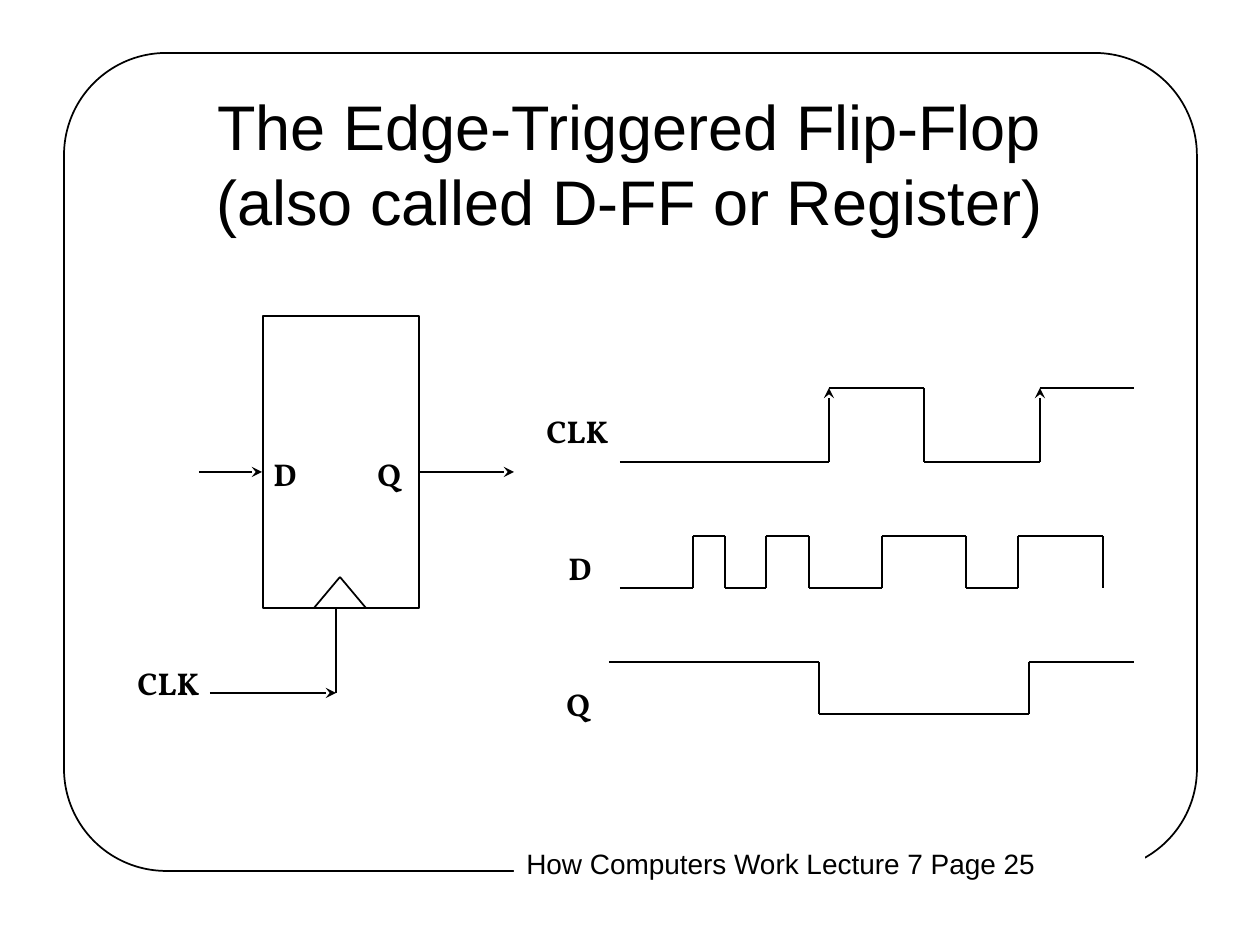
"""Build the edge-triggered flip-flop slide with its symbol and timing diagram."""
from lxml import etree
from pptx import Presentation
from pptx import util as u
from pptx.dml.color import RGBColor
from pptx.enum import shapes, text
from pptx.oxml.ns import qn

PX = 914400 // 126
COLORS = {"ink": "000000", "paper": "FFFFFF"}
TITLE = ["The Edge-Triggered Flip-Flop", "(also called D-FF or Register)"]
TITLE_BOX = (94, 84, 1071, 158)
FOOTER = "How Computers Work Lecture 7 Page 25"
FOOTER_BOX = (514, 840, 631, 47)
FRAME_BOX = (64, 53, 1133, 818)
REGISTER_BOX = (263, 316, 156, 292)

SYMBOL_LABELS = [("D", 261, 449, 49), ("Q", 365, 449, 50), ("CLK", 125, 658, 91)]
SYMBOL_WIRES = [
    ((314, 608), (340, 577), False),
    ((340, 577), (366, 608), False),
    ((336, 608), (336, 693), False),
    ((210, 693), (336, 693), True),
    ((199, 472), (262, 472), True),
    ((419, 472), (514, 472), True),
]
WAVES = [
    {"label": ("CLK", 534, 406, 91), "high": 388, "low": 462, "starts_high": False,
     "start": 620, "edges": [829, 924, 1040], "end": 1134, "mark_rising": True},
    {"label": ("D", 556, 543, 49), "high": 536, "low": 588, "starts_high": False,
     "start": 620, "edges": [693, 725, 766, 809, 882, 966, 1018, 1103], "end": 1103,
     "mark_rising": False},
    {"label": ("Q", 554, 679, 50), "high": 662, "low": 714, "starts_high": True,
     "start": 609, "edges": [819, 1029], "end": 1134, "mark_rising": False},
]


def color(name):
    return RGBColor.from_string(COLORS[name])


def emu(box):
    return [value * PX for value in box]


def write(paragraph, words, size, font, bold=False):
    run = paragraph.add_run()
    run.text = words
    run.font.size = u.Pt(size)
    run.font.name = font
    run.font.bold = bold
    run.font.color.rgb = color("ink")


def add_box(parent, preset, box, filled, outlined):
    panel = parent.add_shape(preset, *emu(box))
    panel.shadow.inherit = False
    if filled:
        panel.fill.solid()
        panel.fill.fore_color.rgb = color("paper")
    else:
        panel.fill.background()
    if outlined:
        panel.line.color.rgb = color("ink")
        panel.line.width = u.Pt(1)
    else:
        panel.line.fill.background()
    return panel


def add_label(parent, words, left, top, width):
    label = parent.add_textbox(*emu((left, top, width, 50)))
    label.text_frame.word_wrap = False
    write(label.text_frame.paragraphs[0], words, 18, "Vollkorn", True)


def add_wire(parent, start, end, arrow=False):
    wire = parent.add_connector(shapes.MSO_CONNECTOR.STRAIGHT, *emu(start + end))
    wire.line.color.rgb = color("ink")
    wire.line.width = u.Pt(1)
    if arrow:
        etree.SubElement(wire.line._get_or_add_ln(), qn("a:tailEnd"), type="stealth")
    etree.SubElement(wire._element.spPr, qn("a:effectLst"))


def add_wave(parent, wave):
    add_label(parent, *wave["label"])
    is_high, x = wave["starts_high"], wave["start"]
    for edge in wave["edges"]:
        before, after = (wave["high"], wave["low"]) if is_high else (wave["low"], wave["high"])
        add_wire(parent, (x, before), (edge, before))
        add_wire(parent, (edge, before), (edge, after), wave["mark_rising"] and not is_high)
        is_high, x = not is_high, edge
    if x < wave["end"]:
        add_wire(parent, (x, after), (wave["end"], after))


def add_title(slide):
    title = slide.shapes.title
    title.left, title.top, title.width, title.height = emu(TITLE_BOX)
    frame = title.text_frame
    frame.auto_size = text.MSO_AUTO_SIZE.NONE
    frame.vertical_anchor = text.MSO_ANCHOR.MIDDLE
    heading = frame.paragraphs[0]
    heading.alignment = text.PP_ALIGN.CENTER
    write(heading, TITLE[0], 36, "Arial")
    heading.add_line_break()
    write(heading, TITLE[1], 36, "Arial")


def add_footer(slide):
    footer = add_box(slide.shapes, shapes.MSO_SHAPE.RECTANGLE, FOOTER_BOX, True, False)
    footer.text_frame.word_wrap = True
    footer.text_frame.vertical_anchor = text.MSO_ANCHOR.TOP
    line = footer.text_frame.paragraphs[0]
    line.alignment = text.PP_ALIGN.LEFT
    write(line, FOOTER, 16, "Arial")


def main():
    deck = Presentation()
    deck.slide_width, deck.slide_height = u.Inches(10), u.Inches(7.5)
    slide = deck.slides.add_slide(deck.slide_layouts[5])
    frame = add_box(slide.shapes, shapes.MSO_SHAPE.ROUNDED_RECTANGLE, FRAME_BOX, False, True)
    frame.adjustments[0] = 0.125
    add_footer(slide)
    add_title(slide)
    symbol = slide.shapes.add_group_shape().shapes
    add_box(symbol, shapes.MSO_SHAPE.RECTANGLE, REGISTER_BOX, True, True)
    for wire in SYMBOL_WIRES:
        add_wire(symbol, *wire)
    for label in SYMBOL_LABELS:
        add_label(symbol, *label)
    for wave in WAVES:
        add_wave(slide.shapes, wave)
    deck.save("out.pptx")


if __name__ == "__main__":
    main()
